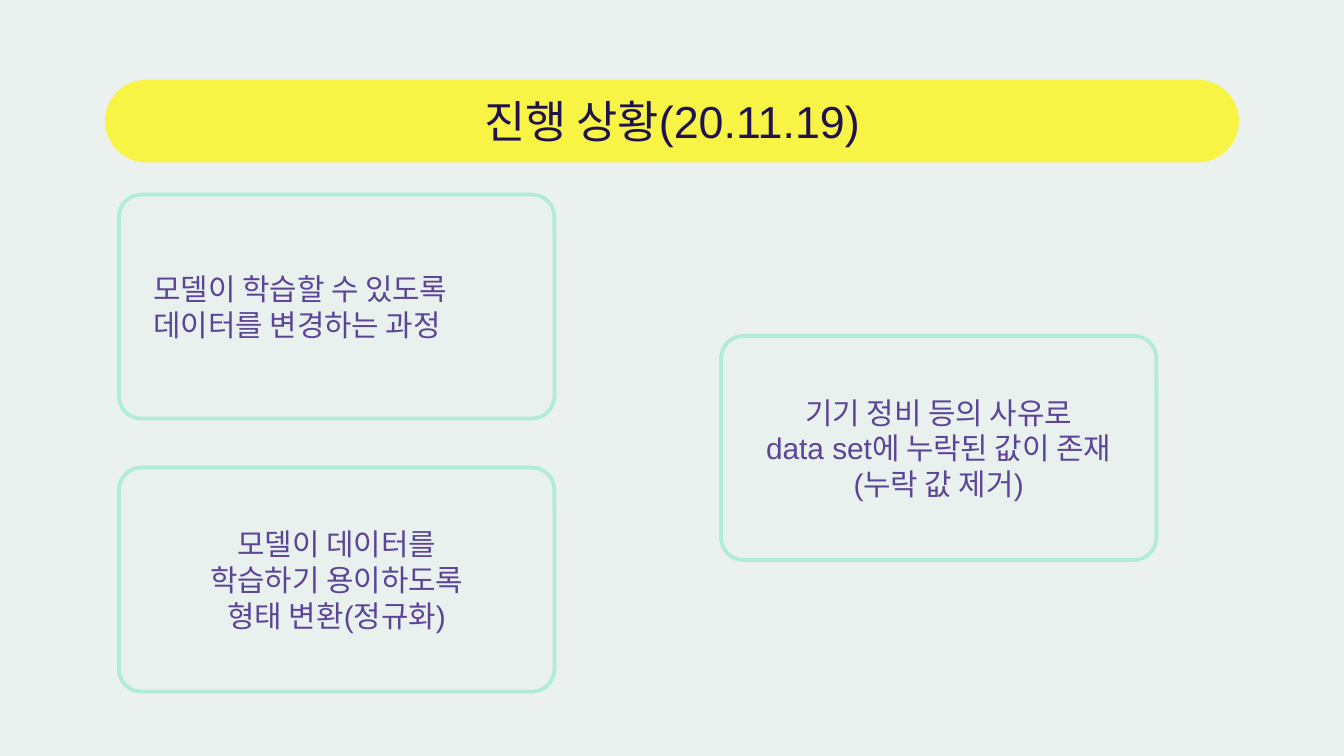
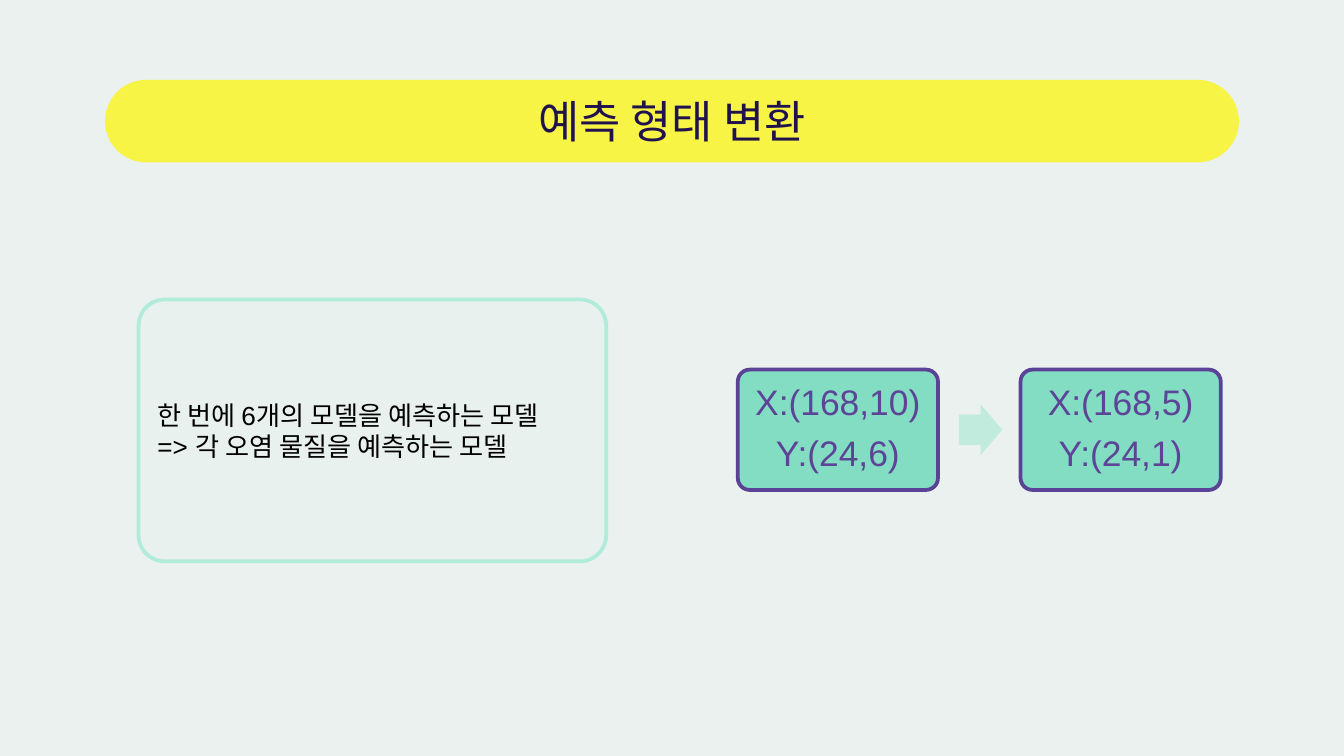
from pptx import Presentation
from pptx.dml.color import RGBColor
from pptx.enum.shapes import MSO_SHAPE
from pptx.enum.text import MSO_ANCHOR, PP_ALIGN
from pptx.util import Emu, Pt

PX = 9525
PAPER, YELLOW, NAVY = "EAF1EE", "F8F446", "20124D"
PALE, MINT, GREEN = "E9F1EE", "B1EBDA", "82DDC3"
PURPLE, EDGE, ARROW, BLACK = "5C4497", "5A4296", "C1ECDD", "000000"
LEFT, CENTER = PP_ALIGN.LEFT, PP_ALIGN.CENTER


def color(code):
    return RGBColor.from_string(code)


def box(slide, rect, fill, edge=None, lines=(), size=16, ink=PURPLE,
        align=CENTER, round=0.1):
    """Add a rounded box with one paragraph per line; rect is in px."""
    shape = slide.shapes.add_shape(
        MSO_SHAPE.ROUNDED_RECTANGLE, *[Emu(n * PX) for n in rect])
    shape.adjustments[0] = round
    shape.shadow.inherit = False
    shape.fill.solid()
    shape.fill.fore_color.rgb = color(fill)
    if edge:
        shape.line.color.rgb = color(edge)
        shape.line.width = Pt(2)
    else:
        shape.line.fill.background()
    frame = shape.text_frame
    frame.text = "\n".join(lines)
    frame.word_wrap = True
    frame.vertical_anchor = MSO_ANCHOR.MIDDLE
    frame.margin_left = frame.margin_right = Emu(8 * PX)
    frame.margin_top = frame.margin_bottom = Emu(8 * PX)
    for para in frame.paragraphs:
        para.alignment = align
        para.font.name = "Arial"
        para.font.size = Pt(size)
        para.font.color.rgb = color(ink)
    return frame


deck = Presentation()
deck.slide_width, deck.slide_height = Emu(960 * PX), Emu(540 * PX)

# Shared background and title band
slides = []
for title in ("진행 상황(20.11.19)", "예측 형태 변환"):
    slide = deck.slides.add_slide(deck.slide_layouts[6])
    slide.background.fill.solid()
    slide.background.fill.fore_color.rgb = color(PAPER)
    box(slide, (75, 57, 810, 59), YELLOW, lines=[title], size=24,
        ink=NAVY, round=0.5)
    slides.append(slide)
status, change = slides

# Progress cards
cards = [
    (85, 139, LEFT, ["모델이 학습할 수 있도록", "데이터를 변경하는 과정"]),
    (515, 240, CENTER, ["기기 정비 등의 사유로", "data set에 누락된 값이 존재",
                        "(누락 값 제거)"]),
    (85, 334, CENTER, ["모델이 데이터를", "학습하기 용이하도록",
                       "형태 변환(정규화)"]),
]
for x, y, align, lines in cards:
    frame = box(status, (x, y, 311, 160), PALE, MINT, lines, align=align)
    if align == LEFT:
        frame.margin_left = Emu(20 * PX)

# Change of prediction form
box(change, (99, 214, 334, 187), PALE, MINT,
    ["한 번에 6개의 모델을 예측하는 모델\v=> 각 오염 물질을 예측하는 모델"],
    size=14, ink=BLACK, align=LEFT)

for x, lines in ((527, ["X:(168,10)", "Y:(24,6)"]),
                 (729, ["X:(168,5)", "Y:(24,1)"])):
    frame = box(change, (x, 264, 143, 86), GREEN, EDGE, lines, size=19)
    for para in frame.paragraphs:
        para.line_spacing = 0.9
    frame.paragraphs[1].space_before = Pt(6.7)

arrow = change.shapes.add_shape(
    MSO_SHAPE.RIGHT_ARROW, *[Emu(n * PX) for n in (685, 289, 31, 36)])
arrow.adjustments[0], arrow.adjustments[1] = 0.6, 0.5
arrow.shadow.inherit = False
arrow.fill.solid()
arrow.fill.fore_color.rgb = color(ARROW)
arrow.line.fill.background()

deck.save("out.pptx")
